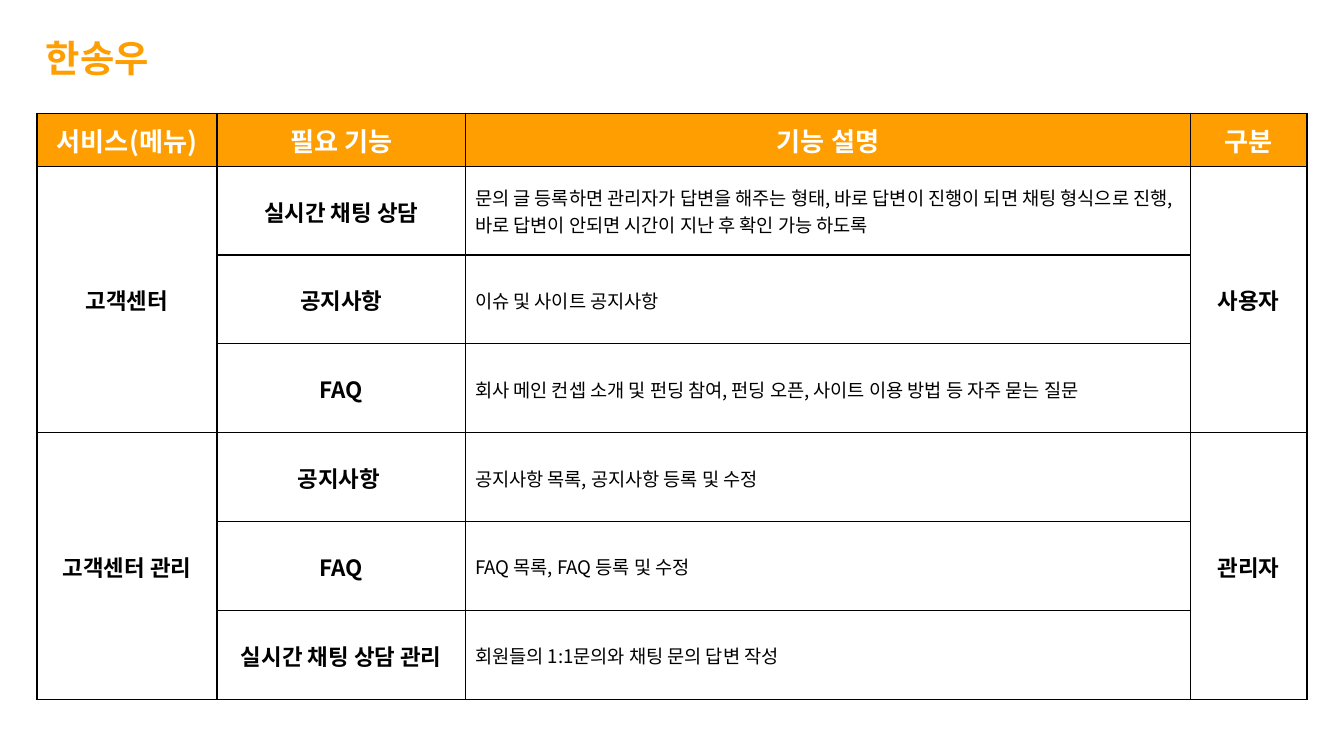
from dataclasses import dataclass

from lxml.etree import SubElement
from pptx import Presentation
from pptx.dml.color import RGBColor
from pptx.enum.shapes import MSO_SHAPE
from pptx.enum.text import MSO_ANCHOR, MSO_AUTO_SIZE, PP_ALIGN
from pptx.oxml import parse_xml
from pptx.oxml.ns import nsdecls, qn
from pptx.util import Cm, Pt


@dataclass(frozen=True)
class Theme:
    font: str = "Noto Sans CJK KR"
    accent: str = "FF9E00"
    paper: str = "FFFFFF"
    ink: str = "000000"
    backdrop: str = "434343"
    title_size: int = 20
    header_size: int = 14
    label_size: int = 12
    body_size: int = 10
    border: float = 0.75


def write_text(frame, text, *, font, size, color, bold=False, align=PP_ALIGN.LEFT):
    paragraph = frame.paragraphs[0]
    paragraph.alignment = align
    run = paragraph.add_run()
    run.text = text
    run.font.name = font
    run.font.size = Pt(size)
    run.font.bold = bold
    run.font.color.rgb = RGBColor.from_string(color)
    SubElement(run.font._element, qn("a:ea")).set("typeface", font)


class SlideBuilder:
    def __init__(self, slide, theme):
        self.slide = slide
        self.theme = theme

    def background(self, width, height):
        backdrop = self.slide.background.fill
        backdrop.solid()
        backdrop.fore_color.rgb = RGBColor.from_string(self.theme.backdrop)
        page = self.slide.shapes.add_shape(MSO_SHAPE.RECTANGLE, 0, 0, width, height)
        page.shadow.inherit = False
        page.fill.solid()
        page.fill.fore_color.rgb = RGBColor.from_string(self.theme.paper)
        page.line.fill.background()
        self.slide.shapes.title._element.addprevious(page._element)

    def title(self, text, left, top, width, height):
        heading = self.slide.shapes.title
        heading.left, heading.top = Cm(left), Cm(top)
        heading.width, heading.height = Cm(width), Cm(height)
        frame = heading.text_frame
        frame.word_wrap = True
        frame.auto_size = MSO_AUTO_SIZE.SHAPE_TO_FIT_TEXT
        frame.vertical_anchor = MSO_ANCHOR.TOP
        write_text(frame, text, font=self.theme.font, size=self.theme.title_size,
                   color=self.theme.accent, bold=True)

    def table(self, left, top, column_widths, row_heights):
        frame = self.slide.shapes.add_table(
            len(row_heights), len(column_widths), Cm(left), Cm(top),
            Cm(sum(column_widths)), Cm(sum(row_heights)))
        table = frame.table
        for column, width in zip(table.columns, column_widths):
            column.width = Cm(width)
        for row, height in zip(table.rows, row_heights):
            row.height = Cm(height)
        for cell in table.iter_cells():
            self.cell_style(cell, self.theme.paper)
        return table

    def cell_style(self, cell, fill):
        cell.fill.solid()
        cell.fill.fore_color.rgb = RGBColor.from_string(fill)
        cell.vertical_anchor = MSO_ANCHOR.MIDDLE
        cell.margin_left = cell.margin_right = cell.margin_top = Cm(0.03)
        cell.margin_bottom = 0
        properties = cell._tc.get_or_add_tcPr()
        for position, side in enumerate(("lnL", "lnR", "lnT", "lnB")):
            properties.insert(position, parse_xml(
                f'<a:{side} {nsdecls("a")} w="{Pt(self.theme.border)}"><a:solidFill>'
                f'<a:srgbClr val="{self.theme.ink}"/></a:solidFill></a:{side}>'))

    def header(self, cell, text):
        cell.fill.fore_color.rgb = RGBColor.from_string(self.theme.accent)
        write_text(cell.text_frame, text, font=self.theme.font, size=self.theme.header_size,
                   color=self.theme.paper, bold=True, align=PP_ALIGN.CENTER)

    def label(self, cell, text):
        write_text(cell.text_frame, text, font=self.theme.font, size=self.theme.label_size,
                   color=self.theme.ink, bold=True, align=PP_ALIGN.CENTER)

    def description(self, cell, text):
        cell.margin_left = Cm(0.18)
        write_text(cell.text_frame, text, font=self.theme.font, size=self.theme.body_size,
                   color=self.theme.ink)


HEADERS = ("서비스(메뉴)", "필요 기능", "기능 설명", "구분")
SERVICES = (
    ("고객센터", "사용자", (
        ("실시간 채팅 상담", "문의 글 등록하면 관리자가 답변을 해주는 형태, 바로 답변이 진행이 되면 "
                      "채팅 형식으로 진행, 바로 답변이 안되면 시간이 지난 후 확인 가능 하도록"),
        ("공지사항", "이슈 및 사이트 공지사항"),
        ("FAQ", "회사 메인 컨셉 소개 및 펀딩 참여, 펀딩 오픈, 사이트 이용 방법 등 자주 묻는 질문"),
    )),
    ("고객센터 관리", "관리자", (
        ("공지사항 ", "공지사항 목록, 공지사항 등록 및 수정"),
        ("FAQ", "FAQ 목록, FAQ 등록 및 수정"),
        ("실시간 채팅 상담 관리", "회원들의 1:1문의와 채팅 문의 답변 작성"),
    )),
)


def main():
    presentation = Presentation()
    presentation.slide_width, presentation.slide_height = Cm(25.4), Cm(14.29)
    slide = presentation.slides.add_slide(presentation.slide_layouts[5])
    builder = SlideBuilder(slide, Theme())
    builder.background(presentation.slide_width, presentation.slide_height)

    feature_count = sum(len(features) for _, _, features in SERVICES)
    plan = builder.table(0.7, 2.14, (3.4, 4.7, 13.7, 2.2), [1] + [1.68] * feature_count)
    for column, header in enumerate(HEADERS):
        builder.header(plan.cell(0, column), header)

    first = 1
    for service, audience, features in SERVICES:
        last = first + len(features) - 1
        for column, text in ((0, service), (3, audience)):
            plan.cell(first, column).merge(plan.cell(last, column))
            builder.label(plan.cell(first, column), text)
        for row, (feature, detail) in enumerate(features, first):
            builder.label(plan.cell(row, 1), feature)
            builder.description(plan.cell(row, 2), detail)
        first = last + 1

    builder.title("한송우", 0.61, 0.53, 3.1, 1.12)
    presentation.save("out.pptx")


if __name__ == "__main__":
    main()
